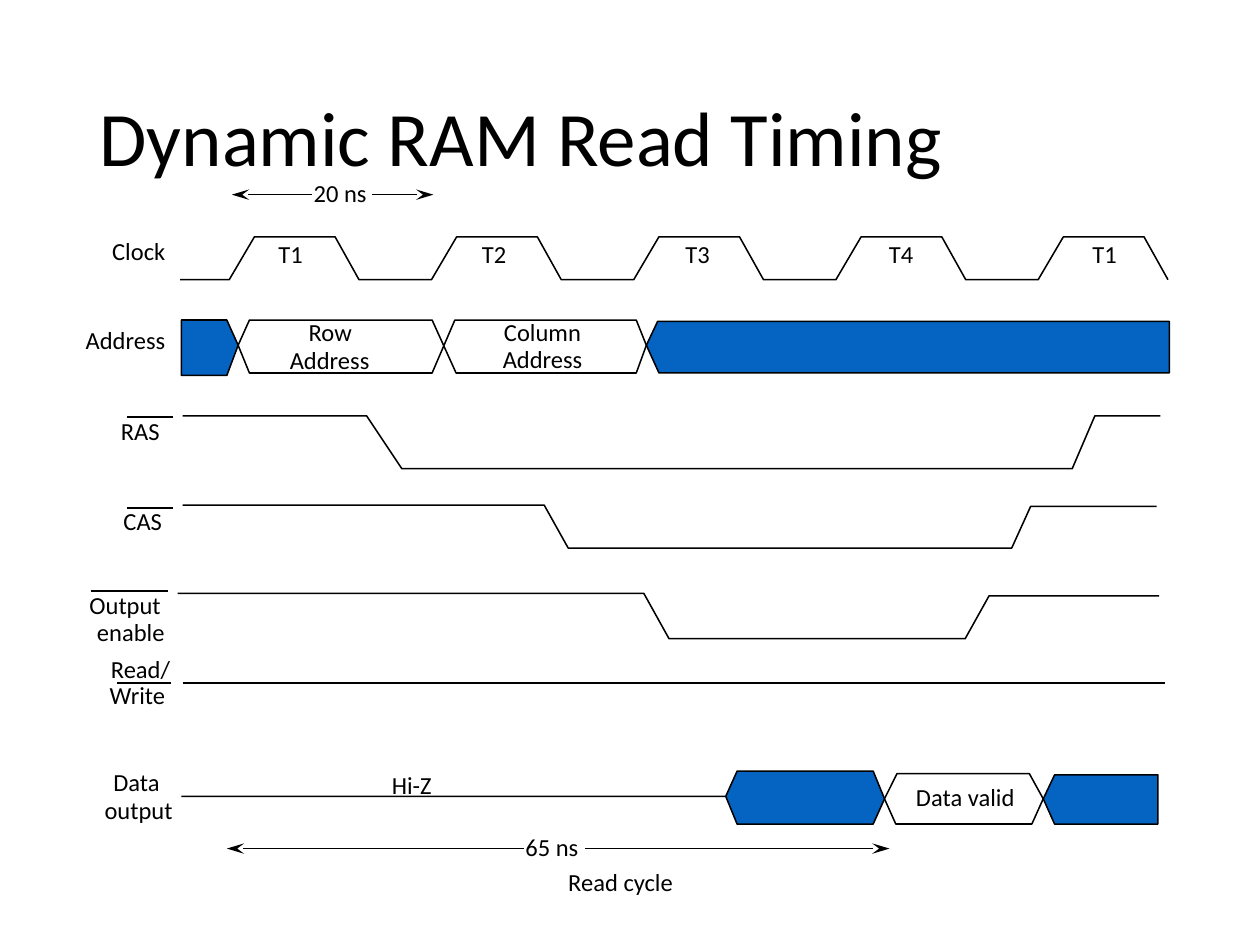
from collections import namedtuple

from lxml import etree
from pptx import Presentation
from pptx.dml.color import RGBColor
from pptx.enum.shapes import MSO_CONNECTOR
from pptx.enum.text import MSO_ANCHOR, MSO_AUTO_SIZE
from pptx.oxml.ns import qn
from pptx.util import Inches, Pt

BLACK = RGBColor(0x00, 0x00, 0x00)
WHITE = RGBColor(0xFF, 0xFF, 0xFF)
BLUE = RGBColor(0x05, 0x63, 0xC1)
STRAIGHT = MSO_CONNECTOR.STRAIGHT
MIDDLE = MSO_ANCHOR.MIDDLE
FIT_SHAPE = MSO_AUTO_SIZE.SHAPE_TO_FIT_TEXT

COLUMNS, ROWS = 100, 75
SLIDE_WIDTH, SLIDE_HEIGHT = Inches(10), Inches(7.5)
LINE_WIDTH = Pt(0.88)
LABEL_HEIGHT = 2.3
CLOCK_PERIOD = 16.05

Box = namedtuple("Box", "left top width height")


def grid_x(columns):
    return round(SLIDE_WIDTH * columns / COLUMNS)


def grid_y(rows):
    return round(SLIDE_HEIGHT * rows / ROWS)


def place(box, x, y):
    return grid_x(box.left + x), grid_y(box.top + y)


def add_label(slide, box, text, x, y, width):
    label = slide.shapes.add_textbox(*place(box, x, y), grid_x(width), grid_y(LABEL_HEIGHT))
    frame = label.text_frame
    frame.margin_left = frame.margin_right = frame.margin_top = frame.margin_bottom = 0
    frame.word_wrap = False
    frame.auto_size = FIT_SHAPE
    paragraph = frame.paragraphs[0]
    paragraph.text = text
    paragraph.font.name = "Calibri"
    paragraph.font.size = Pt(14)
    paragraph.font.color.rgb = BLACK


def add_outline(slide, box, points, fill=None, line=BLACK, close=False):
    corners = [place(box, x, y) for x, y in points]
    builder = slide.shapes.build_freeform(*corners[0])
    builder.add_line_segments(corners[1:], close=close)
    outline = builder.convert_to_shape()
    outline.shadow.inherit = False
    if fill is None:
        outline.fill.background()
    else:
        outline.fill.solid()
        outline.fill.fore_color.rgb = fill
    if line is None:
        outline.line.fill.background()
    else:
        outline.line.color.rgb = line
        outline.line.width = LINE_WIDTH


def add_rule(slide, box, start, end, y, arrows=False):
    rule = slide.shapes.add_connector(STRAIGHT, *place(box, start, y), *place(box, end, y))
    rule.line.color.rgb = BLACK
    rule.line.width = LINE_WIDTH
    properties = rule._element.spPr
    if arrows:
        stroke = properties.find(qn("a:ln"))
        for tip in ("a:headEnd", "a:tailEnd"):
            etree.SubElement(stroke, qn(tip), type="stealth", w="med", len="lg")
    etree.SubElement(properties, qn("a:effectLst"))


def add_title(slide, box, text):
    title = slide.shapes.add_textbox(*place(box, 0, 0), grid_x(box.width), grid_y(box.height))
    frame = title.text_frame
    frame.word_wrap = True
    frame.vertical_anchor = MIDDLE
    paragraph = frame.paragraphs[0]
    paragraph.text = text
    paragraph.line_spacing = 0.9
    paragraph.font.name = "Calibri"
    paragraph.font.size = Pt(44)
    paragraph.font.color.rgb = BLACK


def add_duration(slide, box, text, gap_start, gap_width):
    middle = box.height / 2
    gap_end = gap_start + gap_width
    add_rule(slide, box, 0, box.width, middle, arrows=True)
    add_outline(slide, box,
                [(gap_start, 0), (gap_end, 0), (gap_end, box.height), (gap_start, box.height)],
                fill=WHITE, line=None, close=True)
    add_label(slide, box, text, gap_start + 0.1, -0.4, 4.3)


def add_clock(slide, box):
    low, high = box.height, 0
    trace = [(8.3, low)]
    for cycle, name in enumerate(["T1", "T2", "T3", "T4", "T1"]):
        rise = 12.2 + cycle * CLOCK_PERIOD
        trace += [(rise, low), (rise + 2, high), (rise + 8.4, high), (rise + 10.3, low)]
        add_label(slide, box, name, 16.1 + cycle * 16.15, 0.2, 2.3)
    add_outline(slide, box, trace)
    add_label(slide, box, "Clock", 2.9, -0.1, 4.9)


def add_address(slide, box):
    high, middle, low = 0, 2, box.height
    add_outline(slide, box, [(86.8, low), (46.3, low), (45.3, middle), (46.2, 0.1), (86.8, 0.1)],
                fill=BLUE, close=True)
    add_outline(slide, box, [(44.5, low), (30.2, low), (28.3, high), (13.8, high), (12.9, middle),
                             (13.8, low), (28.3, low), (30.1, high), (44.5, high),
                             (45.3, middle), (44.5, low)])
    add_outline(slide, box, [(8.4, high), (12, high), (12.9, middle), (12, 4.4), (8.4, 4.4)],
                fill=BLUE, close=True)
    for text, x, y, width in [("Address", 0.8, 0.4, 6.8),
                              ("Row", 18.5, -0.2, 3.8), ("Address", 17, 2, 6.8),
                              ("Column", 34, -0.2, 6.7), ("Address", 33.9, 1.9, 6.8)]:
        add_label(slide, box, text, x, y, width)


def add_control(slide, box, labels, overline, trace):
    add_outline(slide, box, trace)
    for text, x, y, width in labels:
        add_label(slide, box, text, x, y, width)
    add_rule(slide, box, *overline)


def add_data_output(slide, box):
    top, middle, low = 0.2, 2.2, box.height
    add_label(slide, box, "Hi-Z", 25.1, -0.1, 4)
    add_outline(slide, box, [(64.9 + 10.9 + 0.1, low), (65.1, low), (64.2, middle),
                             (65.2, top), (75.7, top), (76.8, middle)], close=True)
    add_outline(slide, box, [(85.9, low), (77.7, low), (76.8, middle), (77.7, 0.3), (85.9, 0.3)],
                fill=BLUE, close=True)
    add_outline(slide, box, [(8.4, 2), (51.6, 2), (52.5, 0), (63.3, 0), (64.2, middle),
                             (63.3, low), (52.5, low), (51.6, 2)], fill=BLUE)
    for text, x, y, width in [("Data", 3, -0.3, 4), ("output", 2.3, 1.9, 5.5),
                              ("Data valid", 66.7, 0.9, 8.6)]:
        add_label(slide, box, text, x, y, width)


def main():
    deck = Presentation()
    deck.slide_width, deck.slide_height = SLIDE_WIDTH, SLIDE_HEIGHT
    slide = deck.slides.add_slide(deck.slide_layouts[6])

    add_title(slide, Box(6.9, 4, 86.2, 14.5), "Dynamic RAM Read Timing")
    add_duration(slide, Box(18.4, 14.5, 16, 1.9), "20 ns", 6.4, 4.7)
    add_clock(slide, Box(6, 18.8, 87, 3.4))
    add_address(slide, Box(6, 25.4, 87, 4.2))
    add_control(slide, Box(6, 33, 87, 4.2), [("RAS", 3.6, 0, 3.9)], (4.1, 7.7, 0.1),
                [(8.5, 0), (23.1, 0), (25.9, 4.2), (79.1, 4.2), (80.9, 0), (86.1, 0)])
    add_control(slide, Box(6, 40.1, 87, 3.4), [("CAS", 3.8, 0.1, 3.9)], (4.1, 7.7, 0.2),
                [(8.5, 0), (37.2, 0), (39.1, 3.4), (74.3, 3.4), (75.8, 0.1), (85.8, 0.1)])
    add_control(slide, Box(6, 47.1, 87, 3.6),
                [("Output", 1.1, -0.3, 6), ("enable", 1.7, 1.9, 5.4)], (1.2, 7.3, -0.2),
                [(8.1, 0), (45.1, 0), (47.1, 3.6), (70.6, 3.6), (72.5, 0.2), (86, 0.2)])
    add_control(slide, Box(6, 51.9, 87, 4.4),
                [("Read/", 2.8, 0, 4.9), ("Write", 2.7, 2.1, 4.9)], (3.3, 7.6, 2.3),
                [(8.5, 2.3), (86.5, 2.3)])
    add_data_output(slide, Box(6, 61.2, 87, 4.2))
    add_duration(slide, Box(18, 66.4, 52.6, 1.9), "65 ns", 23.6, 4.8)
    add_label(slide, Box(45.1, 68.8, 8.9, LABEL_HEIGHT), "Read cycle", 0, 0, 8.9)

    deck.save("out.pptx")


if __name__ == "__main__":
    main()
